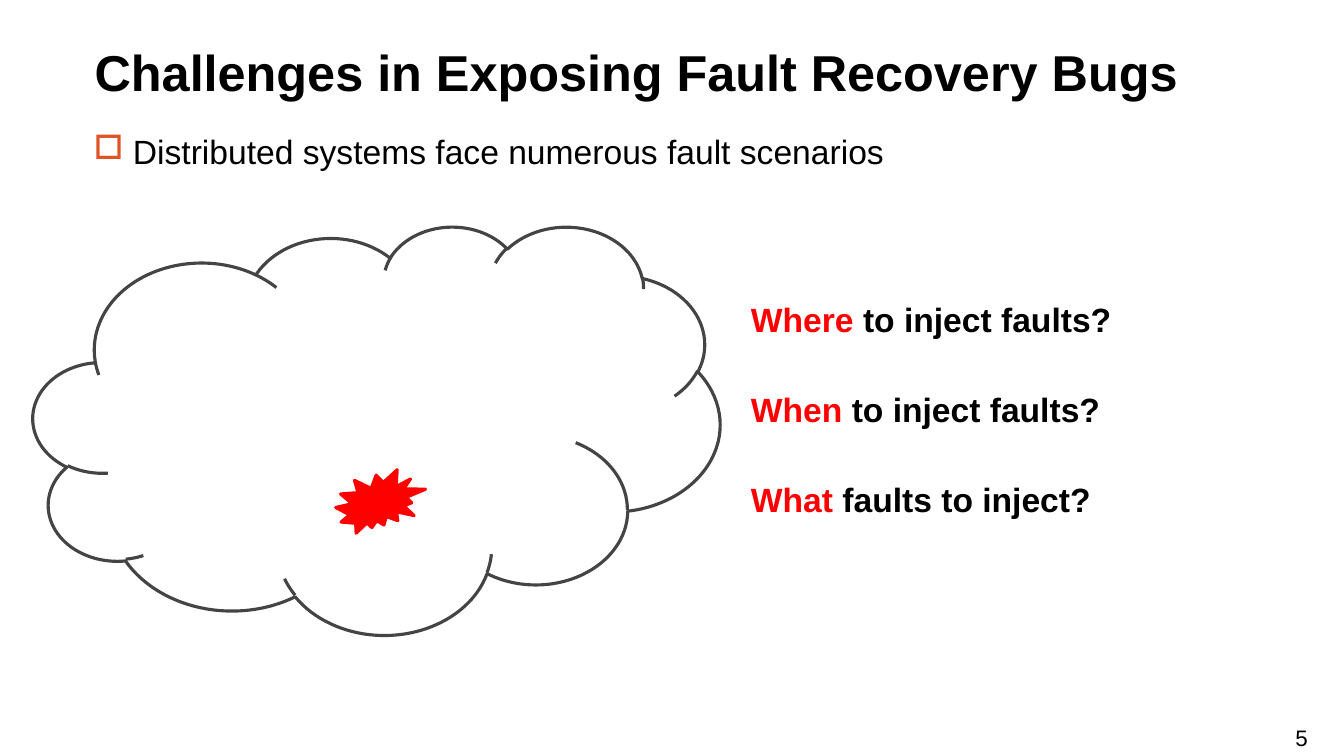
from dataclasses import dataclass

from lxml import etree
from pptx import Presentation
from pptx.dml.color import RGBColor
from pptx.enum.shapes import MSO_SHAPE as Preset
from pptx.enum.text import MSO_ANCHOR as Anchor, PP_ALIGN as Align
from pptx.oxml.ns import qn
from pptx.util import Inches, Pt


@dataclass(frozen=True)
class Theme:
    font: str = "Arial"
    text: str = "000000"
    accent: str = "FF0000"
    bullet: str = "DF5327"
    cloud_fill: str = "FFFFFF"
    cloud_line: str = "444444"
    line_width: float = 2.25
    title_size: int = 36
    body_size: int = 24
    number_size: int = 16


theme = Theme()


def add_text(box, parts, size, bold=False, anchor=Anchor.TOP):
    """Add a one-paragraph text box from (text, colour) parts and return the paragraph."""
    frame = slide.shapes.add_textbox(*map(Inches, box)).text_frame
    frame.word_wrap = True
    frame.vertical_anchor = anchor
    paragraph = frame.paragraphs[0]
    for text, color in parts:
        run = paragraph.add_run()
        run.text = text
        run.font.name = theme.font
        run.font.size = Pt(size)
        run.font.bold = bold
        run.font.color.rgb = RGBColor.from_string(color)
    return paragraph


def add_outlined_shape(preset, box, fill, line):
    shape = slide.shapes.add_shape(preset, *map(Inches, box))
    shape.shadow.inherit = False
    shape.fill.solid()
    shape.fill.fore_color.rgb = RGBColor.from_string(fill)
    shape.line.color.rgb = RGBColor.from_string(line)
    shape.line.width = Pt(theme.line_width)


presentation = Presentation()
presentation.slide_width = Inches(13.33)
presentation.slide_height = Inches(7.5)
slide = presentation.slides.add_slide(presentation.slide_layouts[6])

# Fault space with one injected fault
add_outlined_shape(Preset.CLOUD, (0.33, 2.24, 6.81, 4.05), theme.cloud_fill, theme.cloud_line)
add_outlined_shape(Preset.EXPLOSION2, (3.33, 4.66, 0.89, 0.63), theme.accent, theme.accent)

# Title and page number
add_text((0.84, 0.33, 11.67, 0.73), [("Challenges in Exposing Fault Recovery Bugs", theme.text)],
         theme.title_size, bold=True, anchor=Anchor.BOTTOM)
page_number = add_text((12.49, 7.13, 0.84, 0.35), [("5", theme.text)], theme.number_size)
page_number.alignment = Align.CENTER

# Bulleted statement
statement = add_text((0.83, 1.25, 11.67, 0.63),
                     [("Distributed systems face numerous fault scenarios", theme.text)],
                     theme.body_size)
properties = statement._p.get_or_add_pPr()
properties.set("marL", str(Inches(0.39)))
properties.set("indent", str(-Inches(0.39)))
bullet_color = etree.SubElement(properties, qn("a:buClr"))
etree.SubElement(bullet_color, qn("a:srgbClr"), val=theme.bullet)
etree.SubElement(properties, qn("a:buChar"), char="□")

# Questions
questions = [
    ("Where", " to inject faults?"),
    ("When", " to inject faults?"),
    ("What", " faults to inject?"),
]
for index, (keyword, rest) in enumerate(questions):
    add_text((7.35, 2.82 + 0.895 * index, 5.15, 0.68),
             [(keyword, theme.accent), (rest, theme.text)],
             theme.body_size, bold=True, anchor=Anchor.MIDDLE)

presentation.save("out.pptx")
